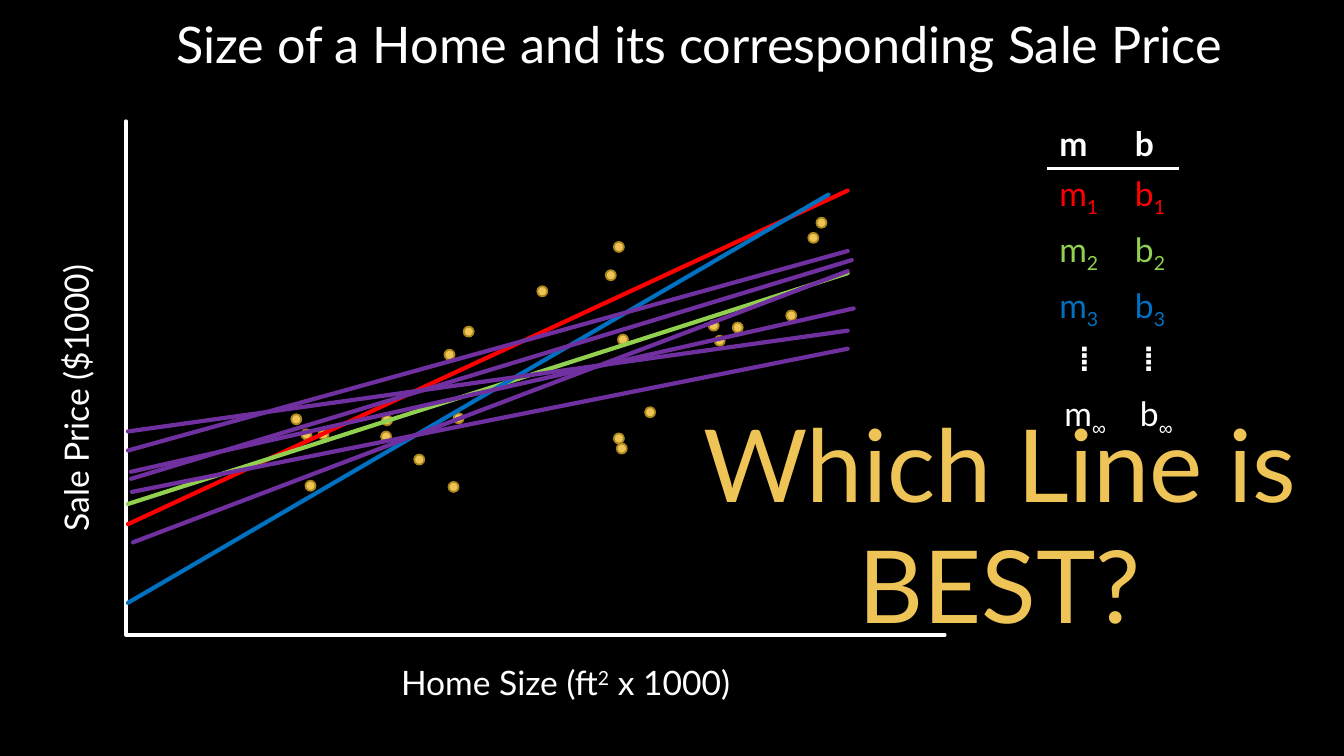
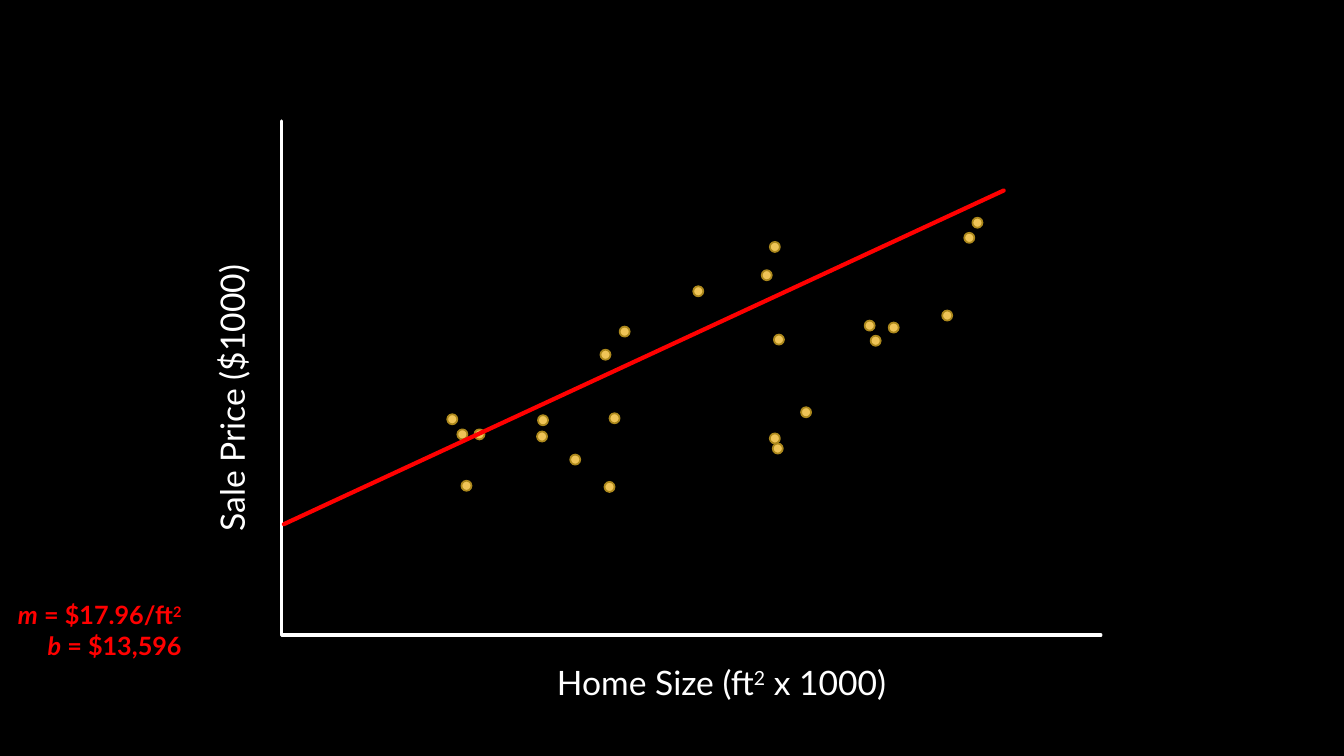
from lxml import etree
from pptx import Presentation
from pptx.dml.color import RGBColor
from pptx.enum import shapes, text
from pptx.oxml.ns import qn
from pptx.util import Pt

BLACK = RGBColor(0x00, 0x00, 0x00)
WHITE = RGBColor(0xFF, 0xFF, 0xFF)
GOLD = RGBColor(0xEF, 0xC4, 0x57)
DARK_GOLD = RGBColor(0xAC, 0x88, 0x1C)
RED = RGBColor(0xFF, 0x00, 0x00)
GREEN = RGBColor(0x92, 0xD0, 0x50)
BLUE = RGBColor(0x00, 0x70, 0xC0)
PURPLE = RGBColor(0x70, 0x30, 0xA0)

FONT = "Lato"
SYMBOL_FONT = "Arial"
NO_GRID_STYLE = "{2D5ABB26-0587-4C30-8999-92F81FD0307C}"
LEFT, CENTER, RIGHT = text.PP_ALIGN.LEFT, text.PP_ALIGN.CENTER, text.PP_ALIGN.RIGHT
SUPER, SUB = {"baseline": 30}, {"baseline": -25}
BOLD = {"bold": True}
BOLD_ITALIC = {"bold": True, "italic": True}

TITLE = "Size of a Home and its corresponding Sale Price"
QUESTION = "Which Line is BEST?"
X_LABEL = [("Home Size (ft", {}), ("2", SUPER), (" x 1000)", {})]
Y_LABEL = [("Sale Price ($1000)", {})]
BEST_FIT = [
    [("m", BOLD_ITALIC), (" = $17.96/ft", BOLD), ("2", BOLD | SUPER)],
    [("b", BOLD_ITALIC), (" = $13,596", BOLD)],
]

AXIS_TOP, AXIS_BOTTOM, AXIS_LENGTH = 86.4, 453.6, 585
DOT_SIZE = 7.2
HOMES = [
    (128.2, 343.4), (118.1, 295.9), (125.3, 306.7), (137.5, 306.7),
    (182.9, 296.6), (182.2, 308.2), (493.2, 155.5), (348.5, 172.8),
    (342.7, 193), (351.4, 239), (370.8, 290.9), (348.5, 309.6),
    (350.6, 316.8), (241.2, 233.3), (227.5, 249.8), (234, 295.2),
    (230.4, 344.2), (205.9, 324.7), (487.4, 166.3), (471.6, 221.8),
    (433.4, 230.4), (416.2, 229), (420.5, 239.8), (293.8, 204.5),
]

RED_LINE = (1.4, 374.4, 515.5, 136.1, RED)
OTHER_LINES = [
    (1.4, 360, 515.5, 195.1, GREEN),
    (1.4, 430.6, 501.8, 139, BLUE),
    (1.4, 308.2, 515.5, 236.2, PURPLE),
    (1.4, 321.8, 515.5, 179.3, PURPLE),
    (5, 387.4, 515.5, 193.7, PURPLE),
    (3.6, 337, 519.8, 220.3, PURPLE),
    (4.3, 351.4, 515.5, 249.1, PURPLE),
    (3.6, 342, 518.4, 185.8, PURPLE),
]

SYMBOL_SUB = SUB | {"font": SYMBOL_FONT}
DOTS = [("⁞", BOLD | {"font": SYMBOL_FONT})]
PARAMETERS = [
    (WHITE, (8.7, 8.7), [("m", BOLD)], [("b", BOLD)]),
    (RED, (8.7, 8.7), [("m", {}), ("1", SUB)], [("b", {}), ("1", SUB)]),
    (GREEN, (8.7, 8.7), [("m", {}), ("2", SUB)], [("b", {}), ("2", SUB)]),
    (BLUE, (8.7, 8.7), [("m", {}), ("3", SUB)], [("b", {}), ("3", SUB)]),
    (WHITE, (22.7, 14.5), DOTS, DOTS),
    (WHITE, (12.3, 12.3), [("m", {}), ("∞", SYMBOL_SUB)], [("b", {}), ("∞", SYMBOL_SUB)]),
]
COLUMN_WIDTHS = (54, 40)
HEADER_HEIGHT, ROW_HEIGHT = 35.3, 37.3


def write(frame, paragraphs, size, color, align=LEFT):
    for index, runs in enumerate(paragraphs):
        para = frame.add_paragraph() if index else frame.paragraphs[0]
        para.alignment = align
        for words, style in runs:
            span = para.add_run()
            span.text = words
            span.font.name = style.get("font", FONT)
            span.font.size = Pt(size)
            span.font.color.rgb = color
            span.font.bold = style.get("bold", False)
            span.font.italic = style.get("italic", False)
            if "baseline" in style:
                span.font._element.set("baseline", str(style["baseline"] * 1000))


def add_text(parent, left, top, width, height, paragraphs, size, color, align=LEFT):
    box = parent.add_textbox(Pt(left), Pt(top), Pt(width), Pt(height))
    box.text_frame.word_wrap = True
    write(box.text_frame, paragraphs, size, color, align)
    return box


def add_line(parent, x1, y1, x2, y2, color, weight):
    line = parent.add_connector(
        shapes.MSO_CONNECTOR.STRAIGHT, Pt(x1), Pt(y1), Pt(x2), Pt(y2))
    line.line.color.rgb = color
    line.line.width = Pt(weight)
    properties = line._element.spPr
    properties.find(qn("a:ln")).set("cap", "rnd")
    etree.SubElement(properties, qn("a:effectLst"))


def add_fit(parent, origin, fit):
    x1, y1, x2, y2, color = fit
    add_line(parent, origin + x1, y1, origin + x2, y2, color, 3)


def add_scatter(page, origin):
    plot = page.shapes.add_group_shape().shapes
    add_line(plot, origin, AXIS_BOTTOM, origin + AXIS_LENGTH, AXIS_BOTTOM, WHITE, 2.25)
    add_line(plot, origin, AXIS_BOTTOM, origin, AXIS_TOP, WHITE, 2.25)
    add_text(plot, origin + 170, 469.4, 288, 36, [X_LABEL], 24, WHITE, CENTER)
    label = add_text(plot, origin - 180, 266.4, 288, 36, [Y_LABEL], 24, WHITE, CENTER)
    label.rotation = 270
    for x, y in HOMES:
        dot = plot.add_shape(
            shapes.MSO_SHAPE.OVAL, Pt(origin + x), Pt(y), Pt(DOT_SIZE), Pt(DOT_SIZE))
        dot.shadow.inherit = False
        dot.fill.solid()
        dot.fill.fore_color.rgb = GOLD
        dot.line.color.rgb = DARK_GOLD
        dot.line.width = Pt(1.25)


def underline(cell):
    border = etree.Element(qn("a:lnB"), w=str(Pt(2)))
    fill = etree.SubElement(border, qn("a:solidFill"))
    etree.SubElement(fill, qn("a:srgbClr"), val=str(WHITE))
    cell._tc.get_or_add_tcPr().insert(0, border)


def add_parameter_table(page):
    heights = [HEADER_HEIGHT] + [ROW_HEIGHT] * (len(PARAMETERS) - 1)
    table = page.shapes.add_table(
        len(PARAMETERS), len(COLUMN_WIDTHS), Pt(748), Pt(84.2),
        Pt(sum(COLUMN_WIDTHS)), Pt(sum(heights))).table
    table.first_row = table.horz_banding = False
    table._tbl.tblPr.find(qn("a:tableStyleId")).text = NO_GRID_STYLE
    for column, width in zip(table.columns, COLUMN_WIDTHS):
        column.width = Pt(width)
    for row, height, (color, margins, *entries) in zip(table.rows, heights, PARAMETERS):
        row.height = Pt(height)
        for cell, margin, runs in zip(row.cells, margins, entries):
            cell.fill.background()
            cell.margin_left, cell.margin_right = Pt(margin), Pt(0)
            cell.margin_top = cell.margin_bottom = Pt(3.6)
            write(cell.text_frame, [runs], 24, color)
    for cell in table.rows[0].cells:
        underline(cell)


def build_candidates(page):
    origin = 90
    add_scatter(page, origin)
    add_text(page.shapes, 118.8, 5.8, 763, 51, [[(TITLE, {})]], 36, WHITE)
    add_parameter_table(page)
    for fit in [RED_LINE] + OTHER_LINES:
        add_fit(page.shapes, origin, fit)
    add_text(page.shapes, 486, 283.7, 456.5, 181.4, [[(QUESTION, {})]], 72, GOLD, CENTER)


def build_best_fit(page):
    origin = 201.4
    add_scatter(page, origin)
    add_fit(page.shapes, origin, RED_LINE)
    add_text(page.shapes, 0, 424.8, 136.8, 51, BEST_FIT, 18, RED, RIGHT)


def main():
    deck = Presentation()
    deck.slide_width, deck.slide_height = Pt(960), Pt(540)
    backdrop = deck.slide_master.background.fill
    backdrop.solid()
    backdrop.fore_color.rgb = BLACK
    for build in (build_candidates, build_best_fit):
        build(deck.slides.add_slide(deck.slide_layouts[6]))
    deck.save("out.pptx")


if __name__ == "__main__":
    main()
